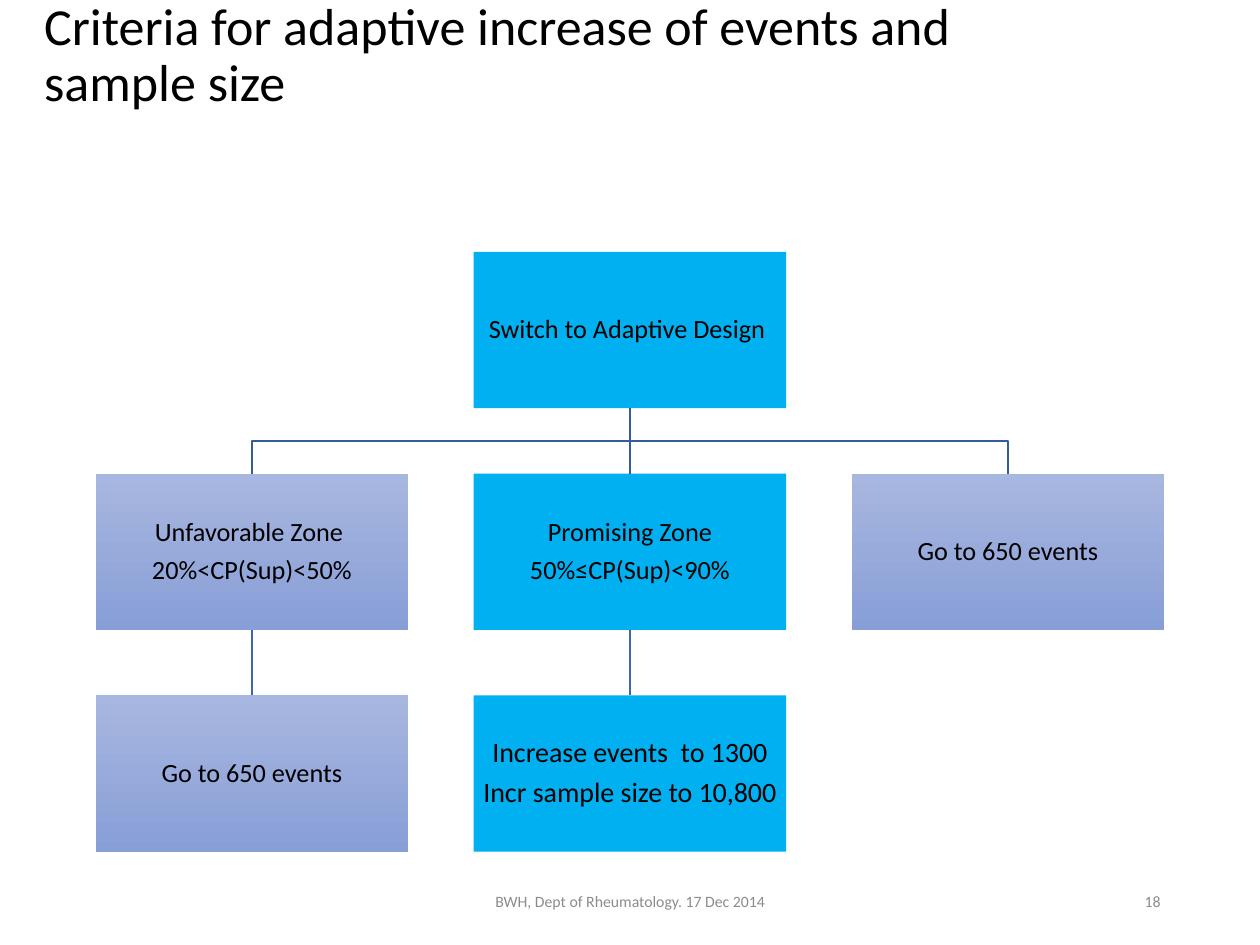
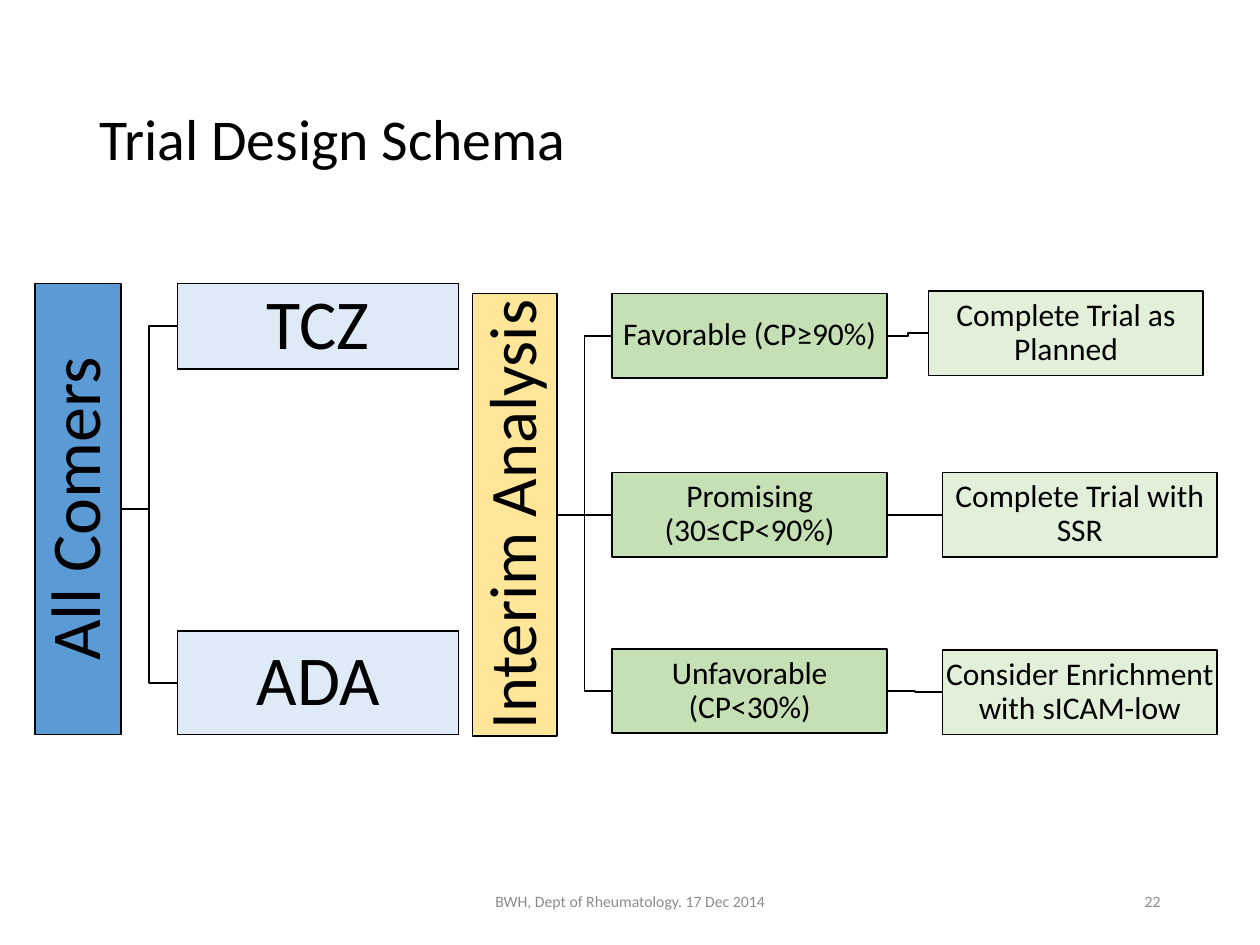
import lxml.etree
import pptx
import pptx.dml.color
import pptx.enum.shapes
import pptx.enum.text
import pptx.oxml.ns
import pptx.util

Inches = pptx.util.Inches
Pt = pptx.util.Pt
ALIGN = pptx.enum.text.PP_ALIGN

# Shared style
FONT = "Calibri"
BLACK, GREY = "000000", "8C8C8C"
BRIGHT = ("00B0F0",)
MUTED = ("A8B7DF", "889ED7")
UPPER_LINE, LOWER_LINE = "365B9D", "3E67B2"
FOOTER = "BWH, Dept of Rheumatology. 17 Dec 2014"

# Slide 1: name -> (column, row, fill, size, lines), and the links between them
CRITERIA_TITLE = "Criteria for adaptive increase of events and sample size"
CRITERIA = {
    "switch": (1, 0, BRIGHT, 15, ["Switch to Adaptive Design "]),
    "unfavorable": (0, 1, MUTED, 15, ["Unfavorable Zone ", "20%<CP(Sup)<50%"]),
    "promising": (1, 1, BRIGHT, 15, ["Promising Zone", "50%≤CP(Sup)<90%"]),
    "favorable": (2, 1, MUTED, 15, ["Go to 650 events"]),
    "keep": (0, 2, MUTED, 15, ["Go to 650 events"]),
    "increase": (1, 2, BRIGHT, 16, ["Increase events  to 1300", "Incr sample size to 10,800"]),
}
CRITERIA_LINKS = [
    ("switch", "favorable", UPPER_LINE),
    ("switch", "promising", UPPER_LINE),
    ("switch", "unfavorable", UPPER_LINE),
    ("promising", "increase", LOWER_LINE),
    ("unfavorable", "keep", LOWER_LINE),
]

# Slide 2: arms as (name, top, height); zones as (name, top, outcome, left, top)
SCHEMA_TITLE = "Trial Design Schema"
ARMS = [("TCZ", 2.25, 0.68), ("ADA", 5.01, 0.82)]
ZONES = [
    ("Favorable (CP≥90%)", 2.33, "Complete Trial as Planned", 7.37, 2.31),
    ("Promising (30≤CP<90%)", 3.75, "Complete Trial with SSR", 7.48, 3.75),
    ("Unfavorable (CP<30%)", 5.15, "Consider Enrichment with sICAM-low", 7.48, 5.16),
]
ZONE_WIDTH, ZONE_HEIGHT = 2.18, 0.67


def color(hex_code):
    return pptx.dml.color.RGBColor.from_string(hex_code)


def add_span(para, text, size, hex_code=BLACK):
    span = para.add_run()
    span.text = text
    span.font.name = FONT
    span.font.size = Pt(size)
    span.font.color.rgb = color(hex_code)


def add_page(deck, title, title_area, title_size, number):
    """Add a page with its title, footer and page number."""
    page = deck.slides.add_slide(deck.slide_layouts[5])
    heading = page.shapes.title
    heading.left, heading.top, heading.width, heading.height = map(Inches, title_area)
    frame = heading.text_frame
    frame.auto_size = pptx.enum.text.MSO_AUTO_SIZE.NONE
    frame.vertical_anchor = pptx.enum.text.MSO_ANCHOR.MIDDLE
    para = frame.paragraphs[0]
    para.alignment, para.line_spacing = ALIGN.LEFT, 0.9
    add_span(para, title, title_size)

    for left, width, align, text in [(3.31, 3.38, ALIGN.CENTER, FOOTER),
                                     (7.06, 2.25, ALIGN.RIGHT, number)]:
        note = page.shapes.add_textbox(Inches(left), Inches(6.95), Inches(width), Inches(0.4))
        note.text_frame.word_wrap = True
        note.text_frame.vertical_anchor = pptx.enum.text.MSO_ANCHOR.MIDDLE
        para = note.text_frame.paragraphs[0]
        para.alignment = align
        add_span(para, text, 9, GREY)
    return page


def add_box(page, area, lines, size, fill, outline=None, inset=0.01, upward=False):
    """Add a labelled rectangle; two fill colours make a vertical gradient."""
    box = page.shapes.add_shape(pptx.enum.shapes.MSO_SHAPE.RECTANGLE, *map(Inches, area))
    box.shadow.inherit = False
    if len(fill) == 2:
        box.fill.gradient()
        box.fill.gradient_angle = 270
        for stop, hex_code in zip(box.fill.gradient_stops, fill):
            stop.color.rgb = color(hex_code)
    else:
        box.fill.solid()
        box.fill.fore_color.rgb = color(fill[0])
    if outline:
        box.line.color.rgb = color(outline)
        box.line.width = Pt(1)
    else:
        box.line.fill.background()

    frame = box.text_frame
    frame.word_wrap = True
    frame.vertical_anchor = pptx.enum.text.MSO_ANCHOR.MIDDLE
    frame.margin_left = frame.margin_right = Inches(inset)
    frame.margin_top = frame.margin_bottom = Inches(inset)
    if upward:
        frame._txBody.bodyPr.set("vert", "vert270")
    for index, line in enumerate(lines):
        para = frame.add_paragraph() if index else frame.paragraphs[0]
        para.alignment, para.line_spacing = ALIGN.CENTER, 0.9
        para.space_after = Pt(0.35 * size)
        add_span(para, line, size)
    return box


def link(page, source, target, hex_code, down=False):
    """Join two boxes: straight when they are level, otherwise with an elbow."""
    if down:
        x1, y1 = source.left + source.width // 2, source.top + source.height
        x2, y2 = target.left + target.width // 2, target.top
        middle = (y1 + y2) // 2
        bends = [(x1, middle), (x2, middle)]
        offset, sides = x2 - x1, (2, 0)
    else:
        x1, y1 = source.left + source.width, source.top + source.height // 2
        x2, y2 = target.left, target.top + target.height // 2
        middle = (x1 + x2) // 2
        bends = [(middle, y1), (middle, y2)]
        offset, sides = y2 - y1, (3, 1)

    if abs(offset) < Inches(0.005):
        line = page.shapes.add_connector(
            pptx.enum.shapes.MSO_CONNECTOR.STRAIGHT, x1, y1, x2, y2)
        line.begin_connect(source, sides[0])
        line.end_connect(target, sides[1])
        lxml.etree.SubElement(line._element.spPr, pptx.oxml.ns.qn("a:effectLst"))
    else:
        builder = page.shapes.build_freeform(x1, y1)
        builder.add_line_segments(bends + [(x2, y2)], close=False)
        line = builder.convert_to_shape()
        line.fill.background()
        line.shadow.inherit = False
    line.line.color.rgb = color(hex_code)
    line.line.width = Pt(1)


def build_criteria(deck):
    page = add_page(deck, CRITERIA_TITLE, (0.25, 0.08, 8.03, 0.74), 29.7, "18")
    boxes = {}
    for name, (column, row, fill, size, lines) in CRITERIA.items():
        area = (0.76 + 3 * column, 2 + 1.76 * row, 2.48, 1.24)
        boxes[name] = add_box(page, area, lines, size, fill)
    for source, target, hex_code in CRITERIA_LINKS:
        link(page, boxes[source], boxes[target], hex_code, down=True)


def build_schema(deck):
    page = add_page(deck, SCHEMA_TITLE, (0.69, 0.4, 8.62, 1.45), 33, "22")

    # Randomised arms
    comers = add_box(page, (0.28, 2.25, 0.68, 3.58), ["All Comers"], 40,
                     ("5B9BD5",), BLACK, 0.03, upward=True)
    for name, top, height in ARMS:
        arm = add_box(page, (1.41, top, 2.23, height), [name], 40,
                      ("DEEBF7",), BLACK, 0.03)
        link(page, comers, arm, BLACK)

    # Interim zones and their outcomes
    interim = add_box(page, (3.75, 2.33, 0.67, 3.51), ["Interim Analysis"], 38,
                      ("FFE699",), BLACK, 0.03, upward=True)
    for name, top, result, result_left, result_top in ZONES:
        zone = add_box(page, (4.86, top, ZONE_WIDTH, ZONE_HEIGHT), [name], 18,
                       ("C5E0B4",), BLACK)
        outcome = add_box(page, (result_left, result_top, ZONE_WIDTH, ZONE_HEIGHT),
                          [result], 18, ("E2F0D9",), BLACK)
        link(page, interim, zone, BLACK)
        link(page, zone, outcome, BLACK)


def main():
    deck = pptx.Presentation()
    deck.slide_width, deck.slide_height = Inches(10), Inches(7.5)
    build_criteria(deck)
    build_schema(deck)
    deck.save("out.pptx")


if __name__ == "__main__":
    main()
